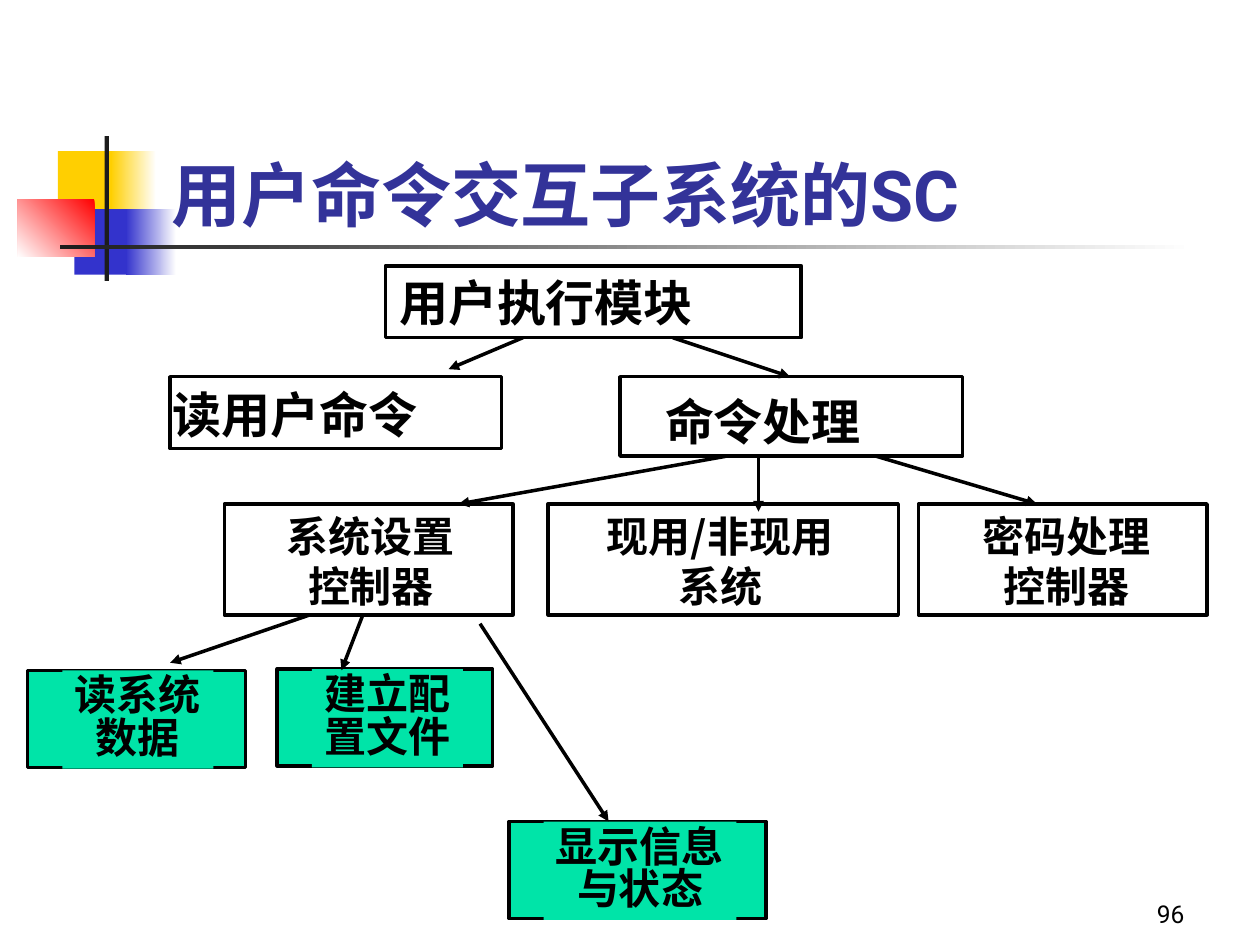
"""Build the structure chart slide of the user command subsystem."""
from lxml import etree
from pptx import Presentation
from pptx.dml.color import RGBColor
from pptx.enum.shapes import MSO_CONNECTOR, MSO_SHAPE
from pptx.enum.text import MSO_ANCHOR, MSO_AUTO_SIZE, PP_ALIGN
from pptx.oxml.ns import qn
from pptx.util import Inches, Pt

RECT, LINE = MSO_SHAPE.RECTANGLE, MSO_CONNECTOR.STRAIGHT
LEFT, MID, RIGHT = PP_ALIGN.LEFT, PP_ALIGN.CENTER, PP_ALIGN.RIGHT
TOP, LOW = MSO_ANCHOR.TOP, MSO_ANCHOR.BOTTOM
FIXED = MSO_AUTO_SIZE.NONE

THEME = {
    "white": "FFFFFF", "black": "000000", "green": "00E4A8", "title": "333399",
    "gold": "FFCF01", "blue": "3333CC", "red": "FF0000", "dark": "1C1C1C",
    "head": 40, "big": 28, "mid": 24, "small": 14, "stroke": 2,
    "sans": "Roboto", "serif": "Times New Roman", "cjk": "Noto Sans CJK SC",
}

deck = Presentation()
deck.slide_width, deck.slide_height = Inches(10), Inches(7.5)
COL, ROW = deck.slide_width / 100, deck.slide_height / 75
slide = deck.slides.add_slide(deck.slide_layouts[5])
shapes = slide.shapes
title = shapes.title


def block(x, y, w, h, fill, edge=None, turn=180):
    """Draw a rectangle on the grid; a pair of fills makes a gradient."""
    shape = shapes.add_shape(RECT, int(x * COL), int(y * ROW), int(w * COL), int(h * ROW))
    shape.shadow.inherit = False
    if isinstance(fill, tuple):
        shape.fill.gradient()
        shape.fill.gradient_angle = turn
        for stop, name in zip(shape.fill.gradient_stops, fill):
            stop.color.rgb = RGBColor.from_string(THEME[name])
    else:
        shape.fill.solid()
        shape.fill.fore_color.rgb = RGBColor.from_string(THEME[fill])
    if edge:
        shape.line.color.rgb = RGBColor.from_string(THEME[edge])
        shape.line.width = Pt(THEME["stroke"])
    else:
        shape.line.fill.background()
    return shape


def write(shape, text, size, face, tint="black", bold=True, align=LEFT,
          anchor=TOP, wrap=False, space=1.0):
    """Fill a shape with formatted lines of text."""
    frame = shape.text_frame
    frame.text = text
    look = {"auto_size": FIXED, "word_wrap": wrap, "vertical_anchor": anchor}
    for key, val in look.items():
        setattr(frame, key, val)
    for para in frame.paragraphs:
        para.alignment, para.line_spacing = align, space
        font = para.runs[0].font
        for key, val in {"size": Pt(THEME[size]), "name": THEME[face], "bold": bold}.items():
            setattr(font, key, val)
        font.color.rgb = RGBColor.from_string(THEME[tint])
        props = para.runs[0]._r.get_or_add_rPr()
        etree.SubElement(props, qn("a:ea"), typeface=THEME["cjk"])


for x, y, w, h, fill, turn in [
    (4.6, 12, 4.8, 5.2, "gold", 0),
    (8.8, 12, 3.6, 5.2, ("white", "gold"), 180),
    (5.9, 16.6, 4.6, 5.2, "blue", 0),
    (10, 16.6, 4, 5.2, ("white", "blue"), 180),
    (1.4, 15.8, 6.1, 4.6, ("red", "white"), 225),
    (8.3, 10.8, 0.35, 11.5, "dark", 0),
    (4.8, 19.45, 90, 0.35, ("white", "dark"), 180),
]:
    block(x, y, w, h, fill, turn=turn)

place = {"left": 12.6 * COL, "top": 6.7 * ROW, "width": 85.2 * COL, "height": 12.5 * ROW}
for key, val in place.items():
    setattr(title, key, int(val))
write(title, "用户命令交互子系统的SC", "head", "sans", "title", anchor=LOW, wrap=True)
shapes._spTree.append(title._element)

tasks = [
    (30.6, 21.1, 33, 5.7, 30.7, 21.1, 25.3, "用户执行模块"),
    (13.5, 29.9, 26.3, 5.7, 12.7, 30, 29.7, "读用户命令"),
    (49.2, 29.9, 27.2, 6.3, 51.8, 30.6, 17.5, "命令处理"),
]
units = [
    (72.9, 22.9, 77, 15.3, "密码处理\n控制器"),
    (43.5, 27.8, 46.4, 21.5, "现用/非现用\n系统"),
    (17.8, 22.9, 21.8, 15.3, "系统设置\n控制器"),
]
leaves = [
    (2.2, 53.2, 17.3, 12, "读系统\n数据"),
    (22, 53.1, 17.1, 12, "建立配\n置文件"),
    (40.4, 65.2, 20.4, 15.3, "显示信息\n与状态"),
]
links = [
    (53.4, 26.8, 62.7, 29.9), (69.5, 36.2, 82.3, 40), (41.5, 26.8, 35.6, 29.3),
    (60.2, 36.2, 60.2, 40.6), (57.7, 36.2, 36.4, 40), (28.8, 48.8, 27.1, 53.2),
    (24.6, 48.8, 13.5, 52.6), (38.1, 49.5, 48.3, 65.2),
]

for x, y, w, h, left, top, wide, text in tasks:
    block(x, y, w, h, "white", "black")
    label = shapes.add_textbox(int(left * COL), int(top * ROW), int(wide * COL), int(5.6 * ROW))
    write(label, text, "big", "serif")

for x, w, left, wide, text in units:
    block(x, 40, w, 8.8, "white", "black")
    label = shapes.add_textbox(int(left * COL), int(40 * ROW), int(wide * COL), int(9 * ROW))
    write(label, text, "mid", "cjk", align=MID)

for x, y, w, wide, text in leaves:
    block(x, y, w, 7.7, "green", "black")
    label = block(x + 2.75, y, wide, 7.8, "green")
    write(label, text, "mid", "cjk", align=MID, space=0.85)

for x, y, right, low in links:
    link = shapes.add_connector(LINE, int(x * COL), int(y * ROW), int(right * COL), int(low * ROW))
    link.line.color.rgb = RGBColor.from_string(THEME["black"])
    link.line.width = Pt(THEME["stroke"])
    etree.SubElement(link.line._get_or_add_ln(), qn("a:tailEnd"), type="triangle")
    etree.SubElement(link._element.spPr, qn("a:effectLst"))

page = shapes.add_textbox(int(74.2 * COL), int(69.2 * ROW), int(20.8 * COL), int(5 * ROW))
write(page, "96", "small", "sans", bold=False, align=RIGHT, anchor=LOW, wrap=True)

deck.save("out.pptx")
